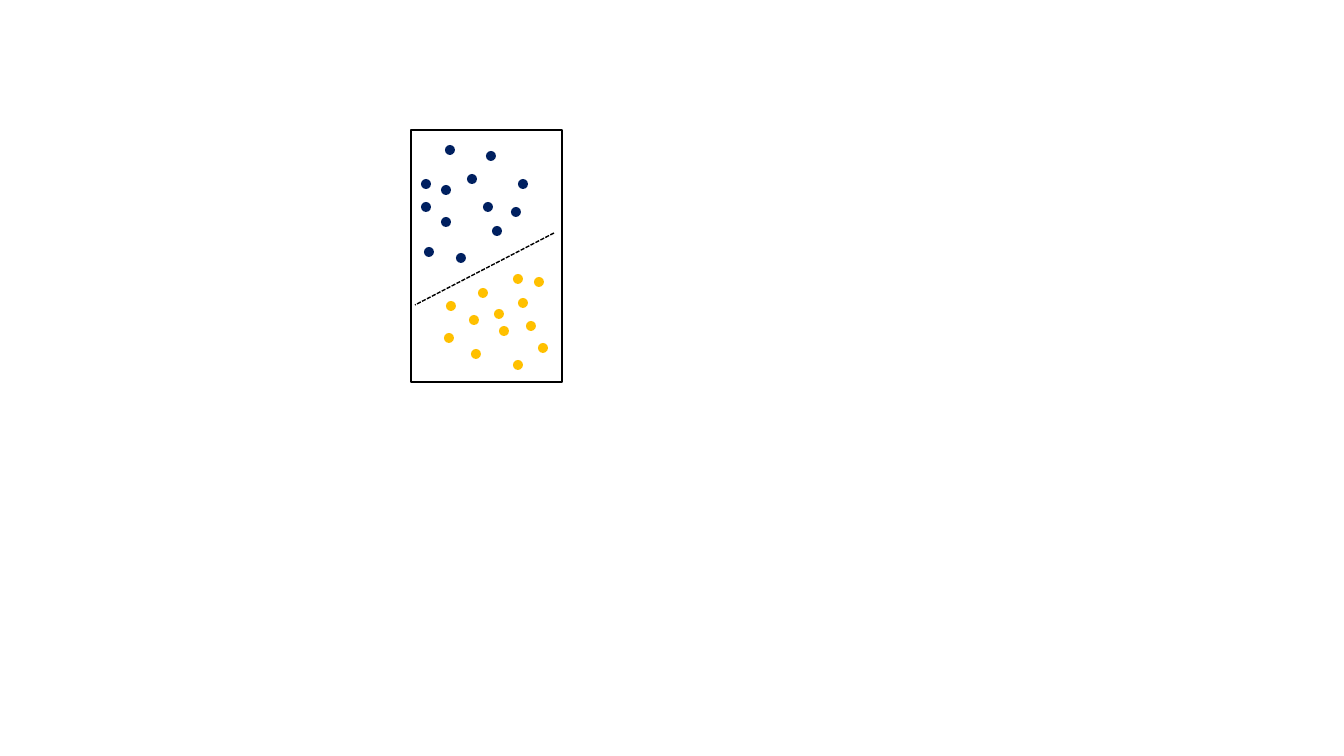
import pptx
import pptx.dml.color
import pptx.enum.dml
import pptx.enum.shapes
import pptx.oxml.ns
import pptx.util
from lxml import etree

EMU_PER_PX = 914400 / 100.8
DOT_SIZE = 10

NAVY = pptx.dml.color.RGBColor(0x00, 0x20, 0x60)
AMBER = pptx.dml.color.RGBColor(0xFF, 0xC0, 0x00)
BLACK = pptx.dml.color.RGBColor(0x00, 0x00, 0x00)

# Dot centres of the two classes, in px
UPPER_CLASS = [
    (472, 179), (516, 212), (523, 184), (488, 207), (491, 156),
    (450, 150), (446, 190), (426, 184), (461, 258), (446, 222),
    (497, 231), (426, 207), (429, 252),
]
LOWER_CLASS = [
    (523, 303), (539, 282), (476, 354), (531, 326), (474, 320),
    (504, 331), (483, 293), (518, 365), (543, 348), (449, 338),
    (451, 306), (499, 314), (518, 279),
]


def px(length):
    return pptx.util.Emu(round(length * EMU_PER_PX))


def add_dots(plot, centres, color):
    for x, y in centres:
        dot = plot.shapes.add_shape(
            pptx.enum.shapes.MSO_SHAPE.OVAL,
            px(x - DOT_SIZE / 2), px(y - DOT_SIZE / 2),
            px(DOT_SIZE), px(DOT_SIZE))
        dot.shadow.inherit = False
        dot.fill.solid()
        dot.fill.fore_color.rgb = color
        dot.line.fill.background()


def add_boundary(plot, start, end):
    boundary = plot.shapes.add_connector(
        pptx.enum.shapes.MSO_CONNECTOR.STRAIGHT,
        *map(px, start + end))
    boundary.line.color.rgb = BLACK
    boundary.line.width = pptx.util.Pt(1)
    boundary.line.dash_style = pptx.enum.dml.MSO_LINE.SQUARE_DOT
    # An empty effect list removes the theme shadow
    etree.SubElement(boundary._element.spPr,
                     pptx.oxml.ns.qn("a:effectLst"))


def add_frame(plot, left, top, width, height):
    frame = plot.shapes.add_shape(
        pptx.enum.shapes.MSO_SHAPE.RECTANGLE,
        px(left), px(top), px(width), px(height))
    frame.shadow.inherit = False
    frame.fill.background()
    frame.line.color.rgb = BLACK
    frame.line.width = pptx.util.Pt(1)


def main():
    deck = pptx.Presentation()
    deck.slide_width = px(1344)
    deck.slide_height = px(756)
    slide = deck.slides.add_slide(deck.slide_layouts[6])

    # Scatter plot of two classes, kept together as one group
    plot = slide.shapes.add_group_shape()
    add_dots(plot, UPPER_CLASS, NAVY)
    add_dots(plot, LOWER_CLASS, AMBER)

    # Separating line and outer frame
    add_boundary(plot, (554, 233), (415, 305))
    add_frame(plot, 411, 130, 151, 252)

    deck.save("out.pptx")


if __name__ == "__main__":
    main()
